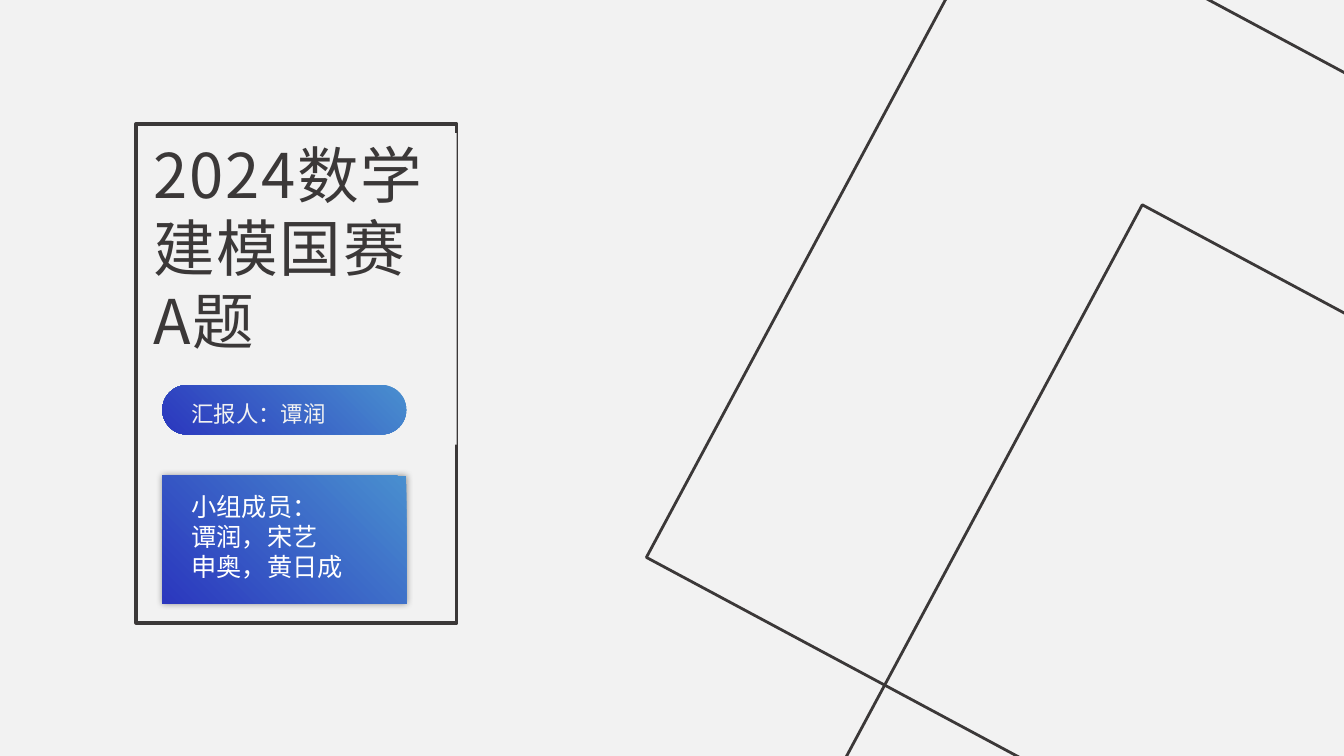
from lxml import etree
from pptx import Presentation
from pptx.dml.color import RGBColor
from pptx.enum.shapes import MSO_SHAPE
from pptx.enum.text import MSO_ANCHOR, PP_ALIGN
from pptx.oxml.ns import qn
from pptx.util import Inches, Pt

RECT = MSO_SHAPE.RECTANGLE
PILL = MSO_SHAPE.ROUNDED_RECTANGLE
TOP = MSO_ANCHOR.TOP
LEFT = PP_ALIGN.LEFT

PAPER = RGBColor(0xF2, 0xF2, 0xF2)
INK = RGBColor(0x3B, 0x38, 0x38)
WHITE = RGBColor(0xFF, 0xFF, 0xFF)
SKY = RGBColor(0x49, 0x8F, 0xCF)
INDIGO = RGBColor(0x2B, 0x37, 0xBE)

FONT = "Noto Sans CJK SC"
LATO = "Lato"


def add_run(paragraph, text, *, size, color, font=FONT, spacing=0):
    run = paragraph.add_run()
    run.text = text
    run.font.size = Pt(size)
    run.font.color.rgb = color
    run.font.name = font
    properties = run.font._element
    etree.SubElement(properties, qn("a:ea")).set("typeface", font)
    if spacing:
        properties.set("spc", str(round(spacing * 100)))


def write(frame, lines, *, line_height, **style):
    """Each line is a list of (text, font) pairs."""
    frame.word_wrap = True
    frame.vertical_anchor = TOP
    for i, line in enumerate(lines):
        paragraph = frame.paragraphs[0] if i == 0 else frame.add_paragraph()
        paragraph.alignment = LEFT
        paragraph.line_spacing = Pt(line_height)
        for text, font in line:
            add_run(paragraph, text, font=font, **style)


class Cover:
    def __init__(self, slide):
        self.slide = slide
        background = slide.background.fill
        background.solid()
        background.fore_color.rgb = PAPER

    def shape(self, kind, left, top, width, height):
        shape = self.slide.shapes.add_shape(
            kind, Inches(left), Inches(top), Inches(width), Inches(height))
        shape.shadow.inherit = False
        shape.fill.background()
        shape.line.fill.background()
        return shape

    def outline(self, left, top, width, height, weight, rotation=0):
        frame = self.shape(RECT, left, top, width, height)
        frame.line.color.rgb = INK
        frame.line.width = Pt(weight)
        frame.rotation = rotation

    def panel(self, left, top, width, height):
        panel = self.shape(RECT, left, top, width, height)
        panel.fill.solid()
        panel.fill.fore_color.rgb = PAPER
        return panel

    def gradient(self, kind, left, top, width, height):
        badge = self.shape(kind, left, top, width, height)
        badge.fill.gradient()
        badge.fill.gradient_angle = 225
        for stop, position, color in zip(
                badge.fill.gradient_stops, (0, 1), (SKY, INDIGO)):
            stop.position = position
            stop.color.rgb = color
        return badge

    def glow(self, shape, blur, opacity):
        effects = shape._element.spPr.find(qn("a:effectLst"))
        shadow = etree.SubElement(effects, qn("a:outerShdw"),
                                  blurRad=str(Pt(blur)), dist="0", dir="0")
        black = etree.SubElement(shadow, qn("a:srgbClr"), val="000000")
        etree.SubElement(black, qn("a:alpha"), val=str(opacity * 1000))

    def text(self, left, top, width, height, lines, **style):
        box = self.slide.shapes.add_textbox(
            Inches(left), Inches(top), Inches(width), Inches(height))
        write(box.text_frame, lines, **style)


def main():
    deck = Presentation()
    deck.slide_width, deck.slide_height = Inches(13.33), Inches(7.5)
    cover = Cover(deck.slides.add_slide(deck.slide_layouts[6]))

    # Framed title
    cover.outline(1.35, 1.23, 3.18, 4.95, 2.5)
    title = cover.panel(1.42, 1.32, 3.11, 3.09)
    write(title.text_frame, [[("2024数学建模国赛", FONT)], [("A题", FONT)]],
          line_height=52, size=44, color=INK, spacing=1.3)

    # Presenter
    presenter = cover.gradient(PILL, 1.61, 3.82, 2.42, 0.49)
    presenter.adjustments[0] = 0.5
    cover.text(1.8, 3.92, 2.52, 0.91, [[("汇报人：", FONT), ("谭润", LATO)]],
               line_height=19.2, size=16, color=PAPER)

    # Tilted squares
    for left, top in ((7.74, 0.24), (9.11, 3.36)):
        cover.outline(left, top, 7.51, 7.51, 2, rotation=298.2)

    # Team members
    team = cover.gradient(RECT, 1.61, 4.72, 2.42, 1.27)
    cover.glow(team, blur=5, opacity=40)
    members = ("小组成员：", "谭润，宋艺", "申奥，黄日成")
    cover.text(1.8, 4.82, 4.85, 0.65, [[(line, FONT)] for line in members],
               line_height=21.6, size=18, color=WHITE)

    deck.save("out.pptx")


if __name__ == "__main__":
    main()
